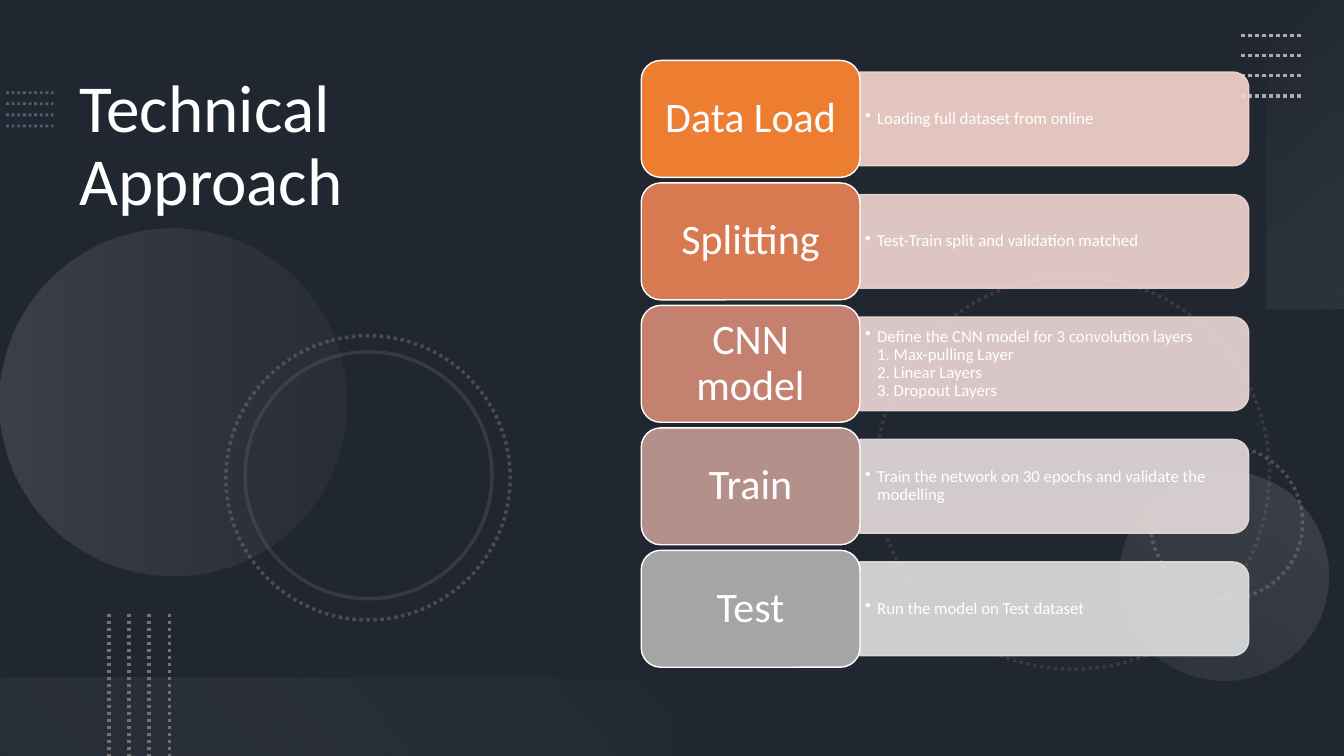
from lxml import etree
from pptx import Presentation
from pptx.dml.color import RGBColor
from pptx.enum.dml import MSO_LINE
from pptx.enum.shapes import MSO_CONNECTOR, MSO_SHAPE
from pptx.enum.text import MSO_ANCHOR, MSO_AUTO_SIZE, PP_ALIGN
from pptx.oxml.ns import qn
from pptx.util import Inches, Pt

RECT = MSO_SHAPE.RECTANGLE
OVAL = MSO_SHAPE.OVAL
LABEL_SHAPE = MSO_SHAPE.ROUNDED_RECTANGLE
DETAIL_SHAPE = MSO_SHAPE.ROUND_2_SAME_RECTANGLE
STRAIGHT = MSO_CONNECTOR.STRAIGHT
DOTTED = MSO_LINE.ROUND_DOT
MIDDLE = MSO_ANCHOR.MIDDLE

FONT = "Calibri"
COLORS = {
    "background": "44546A",
    "shade": "000000",
    "text": "FFFFFF",
    "blue dots": "8497B0",
    "light gray": "AFABAB",
    "dark gray": "767171",
    "near white": "F5F5F5",
    "pale gray": "F1F0F0",
}
# label, detail, label colour, detail colour
STEPS = [
    ("Data Load", "Loading full dataset from online", "ED7D31", "F8D7CE"),
    ("Splitting", "Test-Train split and validation matched", "D87A51", "F2D8D2"),
    ("CNN model",
     "Define the CNN model for 3 convolution layers\n"
     "1. Max-pulling Layer\n2. Linear Layers\n3. Dropout Layers",
     "C48170", "EDD9D7"),
    ("Train", "Train the network on 30 epochs and validate the modelling",
     "B4908B", "E7DCDC"),
    ("Test", "Run the model on Test dataset", "A5A5A5", "E1E1E1"),
]
STEP_TOP, STEP_PITCH = 0.6, 1.215
LABEL_HEIGHT = 1.16


def rgb(color):
    return RGBColor.from_string(COLORS.get(color, color))


def set_alpha(fill_owner, percent):
    """Make the colours found below an element partly transparent."""
    for color in fill_owner.iter(qn("a:srgbClr")):
        etree.SubElement(color, qn("a:alpha"), val=str(percent * 1000))


def paint(fill, color):
    fill.solid()
    fill.fore_color.rgb = rgb(color)


def outline(line, color, width, dash=None, alpha=100):
    paint(line.fill, color)
    line.width = Pt(width)
    if dash is not None:
        line.dash_style = dash
    if alpha < 100:
        set_alpha(line.fill._xPr, alpha)


def add_plain(slide, kind, box, rotation=0):
    """Add a preset shape without fill, line or shadow."""
    shape = slide.shapes.add_shape(kind, *map(Inches, box))
    shape.shadow.inherit = False
    shape.rotation = rotation
    shape.fill.background()
    shape.line.fill.background()
    return shape


def add_gradient(slide, kind, box, rotation, angle, stops):
    """Add a shape with gradient stops of (position, colour, alpha)."""
    shape = add_plain(slide, kind, box, rotation)
    gradient = etree.Element(qn("a:gradFill"), rotWithShape="1")
    stop_list = etree.SubElement(gradient, qn("a:gsLst"))
    for position, color, alpha in stops:
        stop = etree.SubElement(stop_list, qn("a:gs"), pos=str(position * 1000))
        value = etree.SubElement(stop, qn("a:srgbClr"), val=COLORS[color])
        etree.SubElement(value, qn("a:alpha"), val=str(alpha * 1000))
    etree.SubElement(gradient, qn("a:lin"), ang=str(angle * 60000), scaled="0")
    properties = shape._element.spPr
    properties.replace(properties.find(qn("a:noFill")), gradient)


def add_ring(slide, left, top, size, rotation, dash, alpha):
    ring = add_plain(slide, OVAL, (left, top, size, size), rotation)
    outline(ring.line, "dark gray", 2.5, dash, alpha)


def add_dotted_lines(slide, start, end, step, color, width, alpha=100):
    """Draw four parallel dotted lines, each moved by step from the last."""
    for i in range(4):
        ends = [point[axis] + i * step[axis]
                for point in (start, end) for axis in (0, 1)]
        dots = slide.shapes.add_connector(STRAIGHT, *map(Inches, ends))
        outline(dots.line, color, width, DOTTED, alpha)
        etree.SubElement(dots._element.spPr, qn("a:effectLst"))


def write(frame, text, size, align, margins):
    frame.word_wrap = True
    (frame.margin_left, frame.margin_top,
     frame.margin_right, frame.margin_bottom) = map(Inches, margins)
    paragraph = frame.paragraphs[0]
    paragraph.text = text
    paragraph.alignment = align
    paragraph.line_spacing = 0.9
    paragraph.font.size = Pt(size)
    paragraph.font.name = FONT
    paragraph.font.color.rgb = rgb("text")
    return paragraph


def add_title(slide, text):
    title = slide.shapes.title
    title.left, title.top = Inches(0.69), Inches(0.69)
    title.width, title.height = Inches(5.41), Inches(6.03)
    frame = title.text_frame
    frame.auto_size = MSO_AUTO_SIZE.NONE
    frame.vertical_anchor = MSO_ANCHOR.TOP
    write(frame, text, 48, PP_ALIGN.LEFT, (0.1, 0.05, 0.1, 0.05))


def add_detail(slide, text, middle, color):
    panel = add_plain(slide, DETAIL_SHAPE,
                      (9.99, middle - 1.93, 0.93, 3.86), 90)
    paint(panel.fill, color)
    set_alpha(panel.fill._xPr, 90)
    outline(panel.line, color, 1, alpha=90)

    box = slide.shapes.add_textbox(
        *map(Inches, (8.53, middle - 0.42, 3.81, 0.84)))
    box.text_frame.vertical_anchor = MIDDLE
    bullet_item = write(box.text_frame, text, 12, PP_ALIGN.LEFT,
                        (0.05, 0.03, 0.05, 0.03))
    properties = bullet_item._p.get_or_add_pPr()
    properties.set("marL", str(Inches(0.12)))
    properties.set("indent", str(Inches(-0.12)))
    bullet = etree.Element(qn("a:buChar"), char="•")
    properties.find(qn("a:lnSpc")).addnext(bullet)


def add_label(slide, text, top, color):
    label = add_plain(slide, LABEL_SHAPE, (6.36, top, 2.17, LABEL_HEIGHT))
    paint(label.fill, color)
    outline(label.line, "text", 1)
    label.text_frame.vertical_anchor = MIDDLE
    write(label.text_frame, text, 30, PP_ALIGN.CENTER, (0.12, 0.06, 0.12, 0.06))


def add_decoration(slide):
    shade = add_plain(slide, RECT, (0, 0, 13.33, 7.5))
    paint(shade.fill, "shade")
    set_alpha(shade.fill._xPr, 53)

    add_dotted_lines(slide, (0.06, 0.92), (0.53, 0.92), (0, 0.11),
                     "blue dots", 2, 50)
    add_ring(slide, 8.69, 2.74, 3.9, 75, DOTTED, 25)
    add_ring(slide, 11.41, 4.43, 1.51, 270, DOTTED, 50)
    add_gradient(slide, OVAL, (0, 2.27, 3.44, 3.44), 270, 90,
                 [(0, "light gray", 20), (100, "dark gray", 10)])
    add_gradient(slide, OVAL, (11.1, 4.67, 2.08, 2.08), 210, 90,
                 [(0, "light gray", 10), (100, "light gray", 20)])
    add_ring(slide, 2.24, 3.33, 2.82, 75, DOTTED, 50)
    add_ring(slide, 2.43, 3.49, 2.45, 75, None, 25)
    add_gradient(slide, RECT, (11.42, 1.14, 3.06, 0.78), 270, 140,
                 [(0, "near white", 0), (100, "light gray", 10)])
    add_dotted_lines(slide, (12.31, 0.35), (12.91, 0.35), (0, 0.2),
                     "light gray", 2.5)
    add_gradient(slide, RECT, (0, 6.72, 6.67, 0.78), 180, 140,
                 [(10, "dark gray", 10), (100, "pale gray", 0)])
    add_dotted_lines(slide, (1.08, 6.09), (1.08, 7.5), (0.2, 0),
                     "dark gray", 2.5)


def main():
    deck = Presentation()
    deck.slide_width, deck.slide_height = Inches(13.33), Inches(7.5)
    slide = deck.slides.add_slide(deck.slide_layouts[5])
    paint(slide.background.fill, "background")

    add_decoration(slide)
    add_title(slide, "Technical Approach")
    # The title sits above the decoration.
    slide.shapes._spTree.append(slide.shapes.title._element)
    for i, (label, detail, label_color, detail_color) in enumerate(STEPS):
        top = STEP_TOP + i * STEP_PITCH
        add_detail(slide, detail, top + LABEL_HEIGHT / 2, detail_color)
        add_label(slide, label, top, label_color)

    deck.save("out.pptx")


if __name__ == "__main__":
    main()
